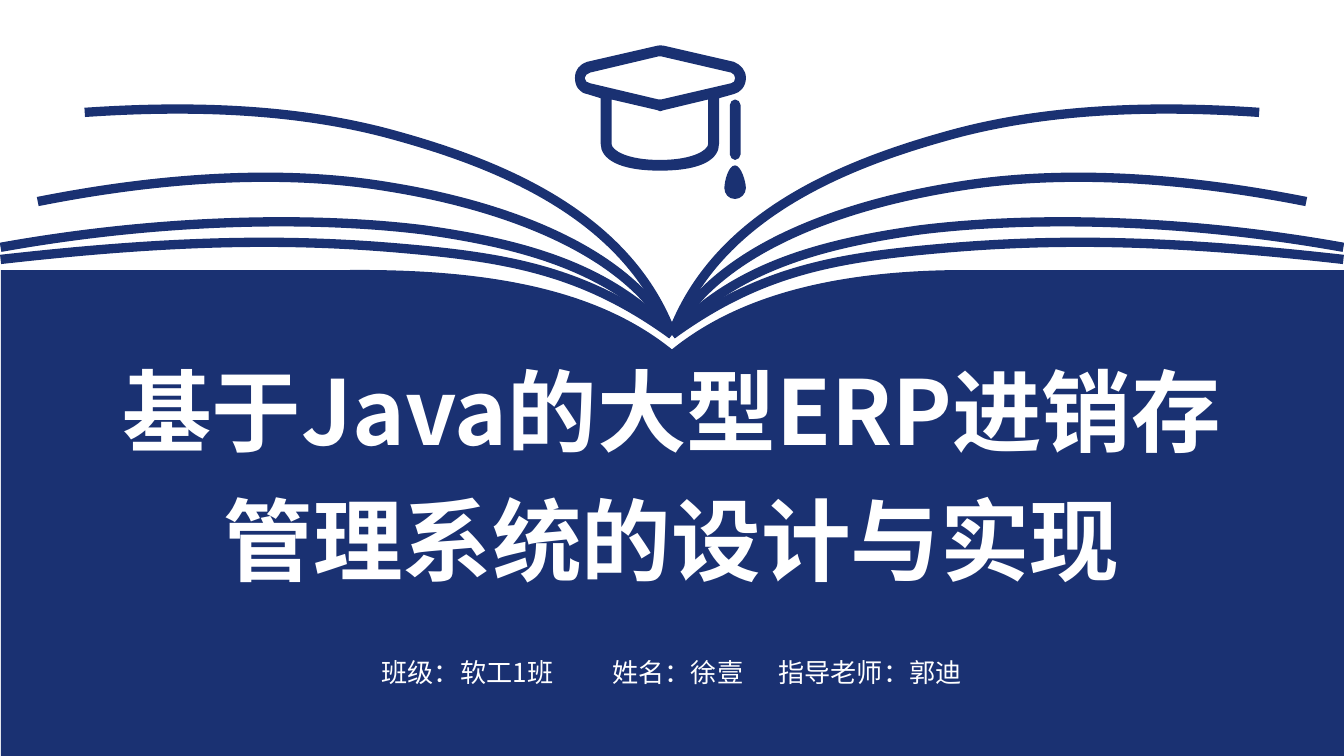
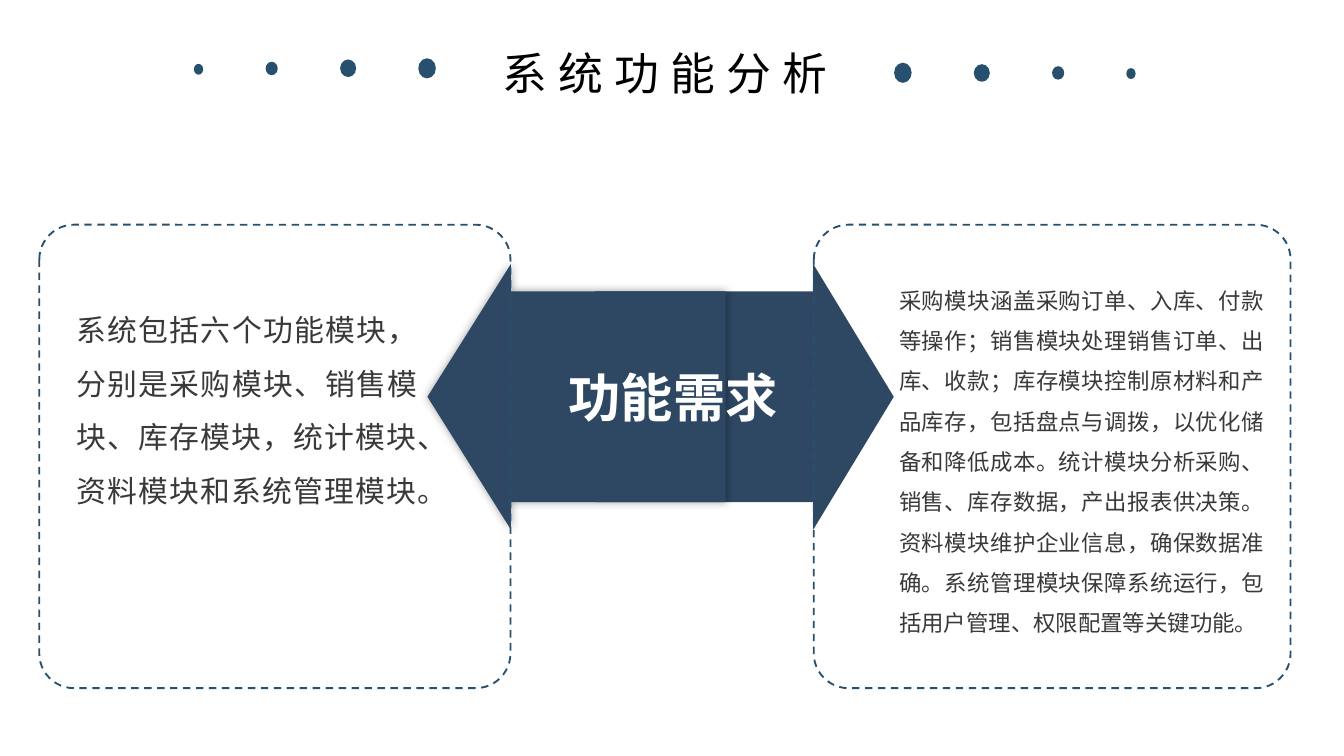
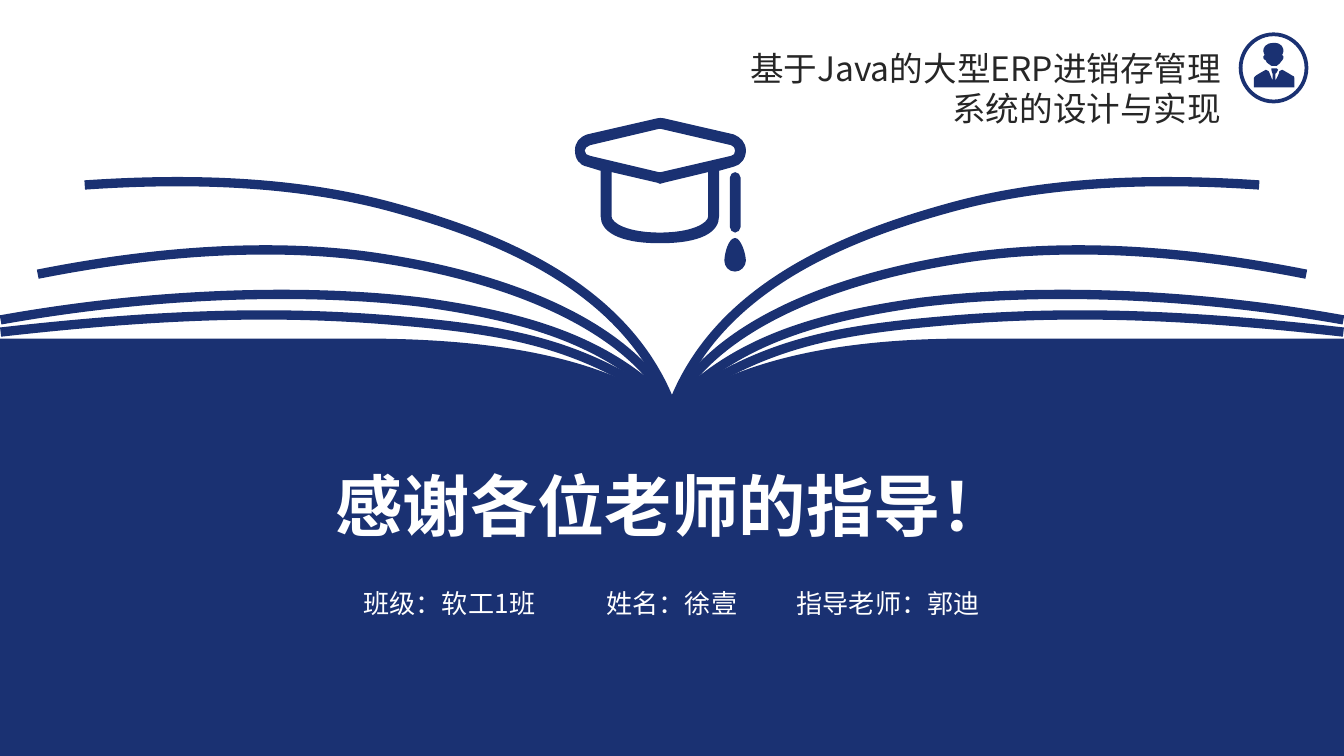
from lxml.etree import SubElement
from pptx import Presentation
from pptx.dml.color import RGBColor
from pptx.enum.dml import MSO_LINE
from pptx.enum.shapes import MSO_SHAPE as Preset
from pptx.enum.text import MSO_ANCHOR as Anchor, MSO_AUTO_SIZE as AutoSize, PP_ALIGN as Align
from pptx.oxml.ns import qn
from pptx.util import Pt

# Shared style
WIDTH, HEIGHT = 720, 405
FONT = "Noto Sans CJK SC"
NAVY, STEEL, SLATE = "1A3172", "27506E", "2E4864"
WHITE, BLACK, GREY, DARK = "FFFFFF", "000000", "3B3838", "262626"
THESIS = "基于Java的大型ERP进销存管理系统的设计与实现"
CREDITS = "班级：软工1班\t姓名：徐壹\t指导老师：郭迪"
rgb = RGBColor.from_string


def write(box, place, text, size, color, align, bold=False, spacing=1.0,
          inset=(0, 0), wrap=True):
    """Place a box on top of the page and fill it with one paragraph."""
    box._element.getparent().append(box._element)
    box.left, box.top, box.width, box.height = map(Pt, place)
    frame = box.text_frame
    frame.margin_left = frame.margin_right = Pt(inset[0])
    frame.margin_top = frame.margin_bottom = Pt(inset[1])
    frame.word_wrap = wrap
    frame.auto_size = AutoSize.SHAPE_TO_FIT_TEXT
    frame.vertical_anchor = Anchor.TOP
    para = frame.paragraphs[0]
    para.alignment, para.line_spacing = align, spacing
    span = para.add_run()
    span.text = text
    span.font.name, span.font.size, span.font.bold = FONT, Pt(size), bold
    span.font.color.rgb = rgb(color)
    SubElement(span.font._element, qn("a:ea"), typeface=FONT)
    return para, span


def draw(page, contours, drop=0, mirror=False, line=None):
    """Draw contours of points (2 numbers) and Bezier curves (6 numbers)."""
    builder = None
    for contour in contours:
        places = [(Pt(WIDTH - x if mirror else x), Pt(y + drop))
                  for step in contour for x, y in zip(step[::2], step[1::2])]
        if builder is None:
            builder = page.shapes.build_freeform(*places[0], scale=1.0)
        else:
            builder.move_to(*places[0])
        builder.add_line_segments(places[1:], close=line is None)
    shape = builder.convert_to_shape()

    # Every three segments of a curve become one Bezier segment
    outline = next(shape._element.iter(qn("a:path")))
    segments = iter(outline.findall(qn("a:lnTo")))
    for contour in contours:
        for step in contour[1:]:
            first = next(segments)
            if len(step) == 6:
                first.tag = qn("a:cubicBezTo")
                for other in (next(segments), next(segments)):
                    first.append(other[0])
                    outline.remove(other)

    shape.shadow.inherit = False
    if line is None:
        shape.fill.solid()
        shape.fill.fore_color.rgb = rgb(NAVY)
        shape.line.fill.background()
    else:
        shape.fill.background()
        shape.line.color.rgb = rgb(NAVY)
        shape.line.width = Pt(line)


# Outlines of the book and the graduation cap, in points
SPINE = (360, 179.3)
BOOK_PAGES = [
    [SPINE, (326.9, 144, 283, 131, 226.8, 123.1), (174.2, 116.6, 92.9, 115.9, 0.3, 132.5)],
    [SPINE, (313.2, 145.4, 273.6, 138.2, 216.7, 133.2), (151.9, 127.4, 90, 128.9, 0.3, 139)],
    [SPINE, (335.5, 132.5, 266.4, 109.4, 208.1, 100.1), (156.2, 91.4, 92.9, 93.6, 20.2, 108)],
    [SPINE, (337, 117.4, 272.2, 89.3, 212.4, 72.7), (161.3, 58.3, 103.7, 56.2, 45.4, 60.2)],
]
CAP = [
    [(354.2, 53.3), (353.5, 53.5, 353.5, 53.3, 352.8, 53.3), (316.1, 44.6),
     (314.6, 44.6, 313.2, 43.2, 313.2, 41.8),
     (313.2, 40.3, 314.6, 39.6, 316.1, 38.9), (352.8, 30.2),
     (353.5, 30.2, 353.5, 30.2, 354.2, 30.2), (391.7, 38.9),
     (393.1, 39.6, 393.8, 40.3, 393.8, 41.8), (393.8, 43.2, 393.1, 44.6, 391.7, 44.6)],
    [(379.4, 77), (379.4, 80.6, 370.8, 85.7, 353.5, 85.7),
     (336.2, 85.7, 327.6, 80.6, 327.6, 77), (327.6, 53.3), (352.1, 59),
     (352.8, 59.8, 354.2, 59.8, 355.7, 59), (379.4, 53.3)],
    [(399.6, 41.8), (399.6, 37.4, 396.7, 34.6, 393.1, 33.1), (355.7, 24.5),
     (354.2, 24.2, 353.2, 24.2, 352.1, 24.5), (314.6, 33.1),
     (310.3, 34.6, 308, 37.4, 308, 41.8), (308, 46.1, 310.3, 49.7, 314.6, 50.4),
     (321.8, 52.6), (321.8, 77), (321.8, 85, 331.2, 91.4, 353.5, 91.4),
     (376.6, 91.4, 385.2, 85, 385.2, 77), (385.2, 52.6), (393.1, 50.4),
     (396.7, 49.7, 399.6, 46.1, 399.6, 41.8)],
]
CORD = [[(391, 56.2), (391, 82.8), (391, 84.2, 392.4, 85.7, 393.8, 85.7),
         (395.3, 85.7, 396.7, 84.2, 396.7, 82.8), (396.7, 56.2),
         (396.7, 54.7, 395.3, 53.3, 393.8, 53.3), (392.4, 53.3, 391, 54.7, 391, 56.2)]]
TASSEL = [[(393.8, 88.6), (390.2, 88.6, 388.1, 97.2, 388.1, 100.8),
           (388.1, 103.7, 390.2, 106.6, 393.8, 106.6),
           (397, 106.6, 399.6, 103.7, 399.6, 100.8),
           (399.6, 97.2, 397, 88.6, 393.8, 88.6)]]
PERSON = [
    [(681.1, 36.7), (684, 36.7), (684.7, 36.7, 684.7, 37.4, 684.7, 37.4),
     (684.7, 38.2, 683.3, 39.6, 683.3, 39.6), (683.3, 43.2),
     (684, 41.8, 685.4, 39.6, 685.4, 38.2), (686.9, 37.4),
     (686.9, 37.4, 689.8, 38.9, 691.9, 40.3), (693.4, 41, 693.4, 41, 693.4, 41.8),
     (693.4, 46.8), (671.8, 46.8), (671.8, 41.8), (671.8, 41, 672.5, 41, 673.2, 40.3),
     (675.4, 38.9, 678.2, 37.4, 678.2, 37.4), (679.7, 38.2),
     (680.4, 39.6, 681.1, 41.8, 681.8, 43.2), (681.8, 39.6),
     (681.8, 39.6, 681.1, 38.2, 681.1, 37.4)],
    [(682.6, 23), (686.9, 23, 687.6, 25.9, 687.6, 27.4),
     (687.6, 28.1, 686.9, 29.5, 686.9, 29.5), (686.9, 29.5, 687.6, 29.5, 687.6, 30.2),
     (687.6, 32.4, 686.9, 31.7, 686.9, 32.4), (686.2, 33.8, 684.7, 34.6, 684, 35.3),
     (681.1, 35.3), (680.4, 34.6, 678.2, 33.8, 678.2, 32.4),
     (677.5, 31.7, 676.8, 32.4, 676.8, 30.2), (676.8, 29.5, 677.5, 29.5, 677.5, 29.5),
     (677.5, 29.5, 676.8, 28.1, 676.8, 27.4), (676.8, 25.9, 677.5, 23, 682.6, 23)],
]

deck = Presentation()
deck.slide_width, deck.slide_height = Pt(WIDTH), Pt(HEIGHT)
cover, analysis, closing = [deck.slides.add_slide(deck.slide_layouts[5]) for _ in range(3)]

# Cover and closing: open book, cap, title and credits
for page, left, top, depth, drop, title, title_top, title_height, size, credits_top, stops in [
    (cover, 0.5, 144.7, 42.5, 0, THESIS, 179.3, 139.7, 48, 339.8, (204.4, 328.1, 417)),
    (closing, 0, 181.4, 36.8, 38.9, "感谢各位老师的指导！", 240.2, 52.6, 36, 302.6,
     (194.7, 324.9, 426.7)),
]:
    draw(page, [[(left, top), (187, top),
                 (269, top - 0.7, 323, top + 0.3 * depth, 360, top + depth),
                 (399.3, top + 0.25 * depth, 455.8, top, 517.7, top),
                 (WIDTH, top), (WIDTH, HEIGHT), (left, HEIGHT)]])
    for edge in BOOK_PAGES:
        for mirror in (False, True):
            draw(page, [edge], drop, mirror, line=5)
    for outline in (CAP, CORD, TASSEL):
        draw(page, outline, drop)
    write(page.shapes.title, (54.9, title_top, 609.8, title_height), title, size, WHITE,
          Align.CENTER, bold=True, spacing=1.2)

    # Credits start at the first stop; the others are tab stops
    box = page.shapes.add_textbox(0, 0, 0, 0)
    para, span = write(box, (stops[0], credits_top, 548.6 - stops[0], 32.4), CREDITS, 14,
                       WHITE, Align.LEFT, spacing=1.5, inset=(0, 3.6))
    tabs = SubElement(para._p.get_or_add_pPr(), qn("a:tabLst"))
    for stop in stops[1:]:
        SubElement(tabs, qn("a:tab"), pos=str(Pt(stop - stops[0])), algn="l")

# Closing: thesis name with a person badge
draw(closing, PERSON)
badge = closing.shapes.add_shape(Preset.OVAL, Pt(664.6), Pt(18.4), Pt(35.3), Pt(36))
badge.shadow.inherit = False
badge.fill.background()
badge.line.color.rgb = rgb(NAVY)
badge.line.width = Pt(2)
write(closing.shapes.add_textbox(0, 0, 0, 0), (391.2, 21.9, 270, 51.1), THESIS, 18, DARK,
      Align.RIGHT, inset=(7.2, 3.6))

# Analysis: title between two rows of dots
DOT_SIZES = [(5, 5.8), (6.5, 7.2), (8.6, 9.4), (9.4, 10.8)]
LEFT_DOTS = [(103.9, 34.2), (142.3, 33.1), (182.2, 31.9), (224.1, 31.2)]
RIGHT_DOTS = [(603.4, 36.5), (563.6, 35.5), (521.7, 34.4), (479, 33.6)]
for dots in (LEFT_DOTS, RIGHT_DOTS):
    for place, size in zip(dots, DOT_SIZES):
        dot = analysis.shapes.add_shape(Preset.OVAL, *map(Pt, place + size))
        dot.shadow.inherit = False
        dot.fill.solid()
        dot.fill.fore_color.rgb = rgb(STEEL)
        dot.line.fill.background()
para, span = write(analysis.shapes.title, (259.2, 20.9, 194.4, 36), "系统功能分析", 24, BLACK,
                   Align.CENTER, inset=(7.2, 3.6), wrap=False)
span.font._element.set("spc", "600")

# Two arrows pointing apart; the left one lies on top and casts a shadow
for left, head, is_left in [(319, 0.303, False), (229, 0.314, True)]:
    arrow = analysis.shapes.add_shape(Preset.RIGHT_ARROW, Pt(left), Pt(141.4), Pt(159.8),
                                      Pt(142.4))
    arrow.adjustments[0], arrow.adjustments[1] = 0.792, head
    arrow.shadow.inherit = False
    arrow.fill.solid()
    arrow.fill.fore_color.rgb = rgb(SLATE)
    arrow.line.fill.background()
    if is_left:
        props = arrow._element.spPr
        props.find(qn("a:xfrm")).set("flipH", "1")
        shadow = SubElement(props.find(qn("a:effectLst")), qn("a:outerShdw"),
                            blurRad=str(Pt(5)), dist="0", dir="0", algn="ctr", rotWithShape="0")
        tint = SubElement(shadow, qn("a:srgbClr"), val=BLACK)
        SubElement(tint, qn("a:alpha"), val="40000")

# Texts in dashed panels
for place, size, text in [
    ((481.7, 146.5, 195.8, 196.6), 12,
     "采购模块涵盖采购订单、入库、付款等操作；销售模块处理销售订单、出库、收款；"
     "库存模块控制原材料和产品库存，包括盘点与调拨，以优化储备和降低成本。"
     "统计模块分析采购、销售、库存数据，产出报表供决策。资料模块维护企业信息，"
     "确保数据准确。系统管理模块保障系统运行，包括用户管理、权限配置等关键功能。"),
    ((41, 157.3, 182.9, 116.6), 16,
     "系统包括六个功能模块，分别是采购模块、销售模块、库存模块，统计模块、"
     "资料模块和系统管理模块。"),
]:
    write(analysis.shapes.add_textbox(0, 0, 0, 0), place, text, size, GREY, Align.JUSTIFY,
          spacing=1.5)
for left, width in [(436, 255.4), (21.1, 252.4)]:
    panel = analysis.shapes.add_shape(Preset.ROUNDED_RECTANGLE, Pt(left), Pt(120.4), Pt(width),
                                      Pt(248.3))
    panel.adjustments[0] = 0.075
    panel.shadow.inherit = False
    panel.fill.background()
    panel.line.color.rgb = rgb(STEEL)
    panel.line.width = Pt(1)
    panel.line.dash_style = MSO_LINE.DASH
write(analysis.shapes.add_textbox(0, 0, 0, 0), (303.5, 195.8, 113, 33.8), "功能需求", 28, WHITE,
      Align.RIGHT, bold=True)

deck.save("out.pptx")
